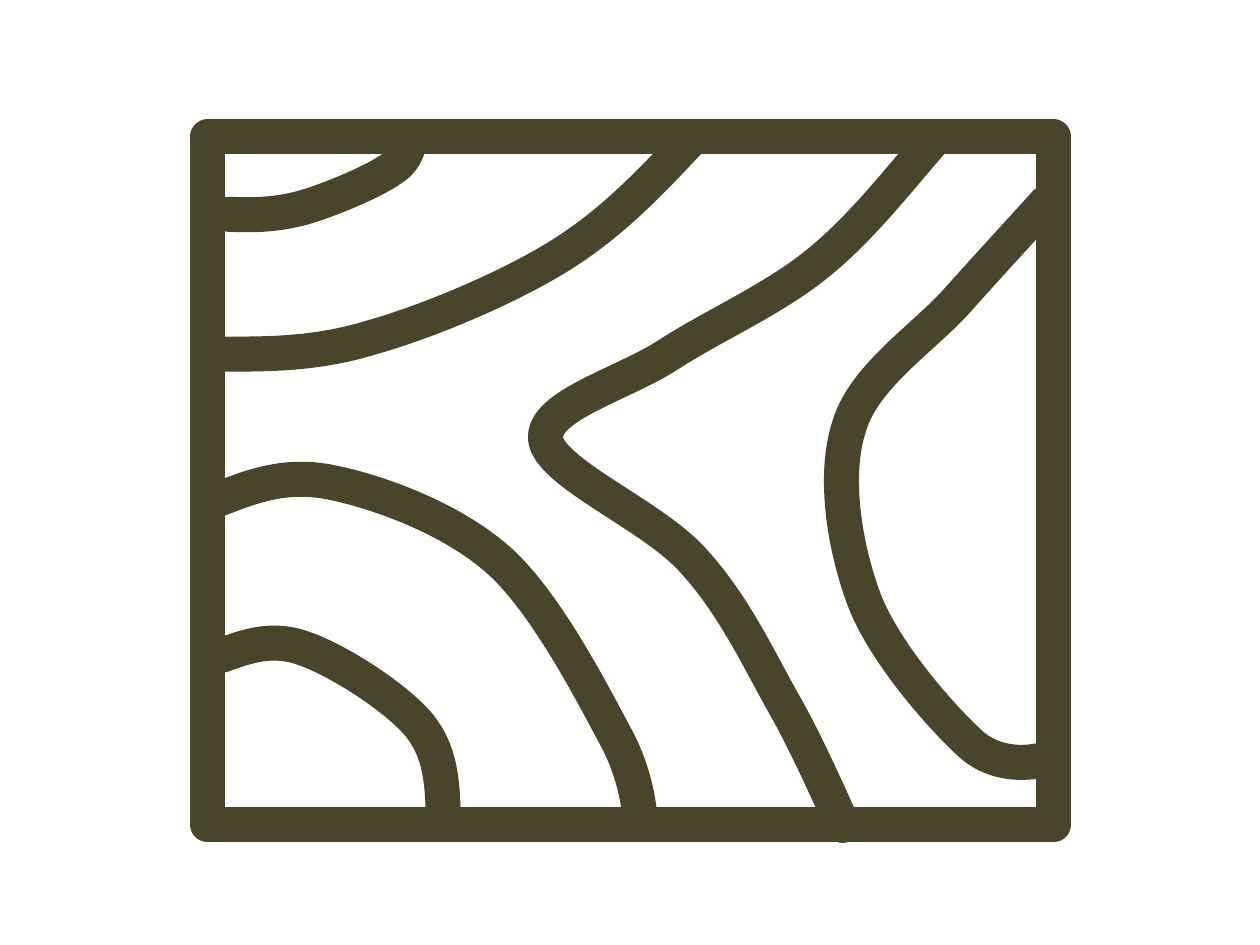
import pptx
import pptx.dml.color
import pptx.enum.shapes
import pptx.oxml.ns
import pptx.util
from lxml import etree

OLIVE = pptx.dml.color.RGBColor(0x4A, 0x45, 0x2A)
WHITE = pptx.dml.color.RGBColor(0xFF, 0xFF, 0xFF)
Cm = pptx.util.Cm
qn = pptx.oxml.ns.qn

FRAME = (4.19, 2.76, 17.05, 13.87)

# Each grain line: a start point, then two handles and an end point per piece (cm).
LOWER_LEFT_INNER = [
    (4.47, 13.21),
    (4.98, 13.03), (5.49, 12.83), (6.15, 13.08),
    (6.81, 13.31), (7.98, 14.05), (8.46, 14.63),
    (8.92, 15.21), (8.92, 15.88), (8.94, 16.56)]
LOWER_LEFT_OUTER = [
    (4.37, 10.08),
    (5.08, 9.8), (5.77, 9.53), (6.71, 9.73),
    (7.67, 9.93), (9.12, 10.46), (10.06, 11.3),
    (11, 12.14), (11.94, 13.97), (12.4, 14.83),
    (12.88, 15.7), (12.9, 16.51), (12.9, 16.51)]
UPPER_LEFT_OUTER = [
    (4.34, 7.14),
    (5.33, 7.14), (6.32, 7.16), (7.47, 6.81),
    (8.64, 6.48), (10.21, 5.82), (11.28, 5.16),
    (12.34, 4.5), (13.11, 3.68), (13.87, 2.87)]
UPPER_LEFT_INNER = [
    (4.6, 4.32),
    (5.08, 4.34), (5.54, 4.34), (6.1, 4.19),
    (6.63, 4.04), (7.54, 3.66), (7.9, 3.4),
    (8.26, 3.18), (8.26, 2.77), (8.26, 2.77)]
CENTRE = [
    (18.8, 2.84),
    (18.11, 3.63), (17.35, 4.62), (16.46, 5.33),
    (15.57, 6.05), (14.35, 6.58), (13.46, 7.16),
    (12.55, 7.75), (10.92, 8.18), (11, 8.86),
    (11.1, 9.55), (13.21, 10.41), (14, 11.33),
    (14.81, 12.22), (15.32, 13.34), (15.82, 14.22),
    (16.33, 15.11), (16.99, 16.64), (16.99, 16.64)]
RIGHT = [
    (21.08, 4.09),
    (20.65, 4.57), (19.99, 5.28), (19.33, 6.02),
    (18.67, 6.78), (17.42, 7.57), (17.12, 8.59),
    (16.79, 9.58), (17.02, 11.02), (17.42, 12.09),
    (17.83, 13.16), (18.97, 14.45), (19.56, 14.99),
    (20.14, 15.52), (20.9, 15.34), (20.9, 15.34)]
GRAIN_LINES = (LOWER_LEFT_INNER, LOWER_LEFT_OUTER, UPPER_LEFT_OUTER,
               UPPER_LEFT_INNER, CENTRE, RIGHT)


def point_on_curve(piece, t):
    """Point at t (0 to 1) on a cubic Bezier piece of four points."""
    weights = ((1 - t) ** 3, 3 * t * (1 - t) ** 2, 3 * t * t * (1 - t), t ** 3)
    return tuple(round(sum(w * p[axis] for w, p in zip(weights, piece)))
                 for axis in (0, 1))


class WoodGrain:
    line_format = {"width": pptx.util.Pt(20)}
    steps = 20

    def __init__(self, page):
        self.page = page

    def outline(self, shape):
        """Draw the thick line with round ends and corners."""
        shape.shadow.inherit = False
        for name, value in self.line_format.items():
            setattr(shape.line, name, value)
        shape.line.color.rgb = OLIVE
        stroke = next(shape.element.iter(qn("a:ln")))
        stroke.set("cap", "rnd")
        etree.SubElement(stroke, qn("a:round"))

    def frame(self, bounds):
        board = self.page.shapes.add_shape(
            pptx.enum.shapes.MSO_SHAPE.RECTANGLE, *map(Cm, bounds))
        board.fill.solid()
        board.fill.fore_color.rgb = WHITE
        self.outline(board)

    def curve(self, points):
        """Size a freeform to the true curve, then give it Bezier pieces."""
        points = [(Cm(x), Cm(y)) for x, y in points]
        pieces = [points[i:i + 4] for i in range(0, len(points) - 1, 3)]
        samples = [point_on_curve(piece, step / self.steps)
                   for piece in pieces for step in range(1, self.steps + 1)]
        builder = self.page.shapes.build_freeform(*points[0])
        builder.add_line_segments(samples, close=False)
        shape = builder.convert_to_shape()
        shape.fill.background()
        self.outline(shape)

        track = next(shape.element.iter(qn("a:path")))
        for segment in track.findall(qn("a:lnTo")):
            track.remove(segment)
        for piece in pieces:
            bezier = etree.SubElement(track, qn("a:cubicBezTo"))
            for x, y in piece[1:]:
                etree.SubElement(bezier, qn("a:pt"),
                                 x=str(x - shape.left), y=str(y - shape.top))


def main():
    deck = pptx.Presentation()
    deck.slide_width, deck.slide_height = Cm(25.4), Cm(19.05)
    blank = deck.slide_layouts[6]
    grain = WoodGrain(deck.slides.add_slide(blank))
    grain.frame(FRAME)
    for points in GRAIN_LINES:
        grain.curve(points)
    deck.save("out.pptx")


if __name__ == "__main__":
    main()
